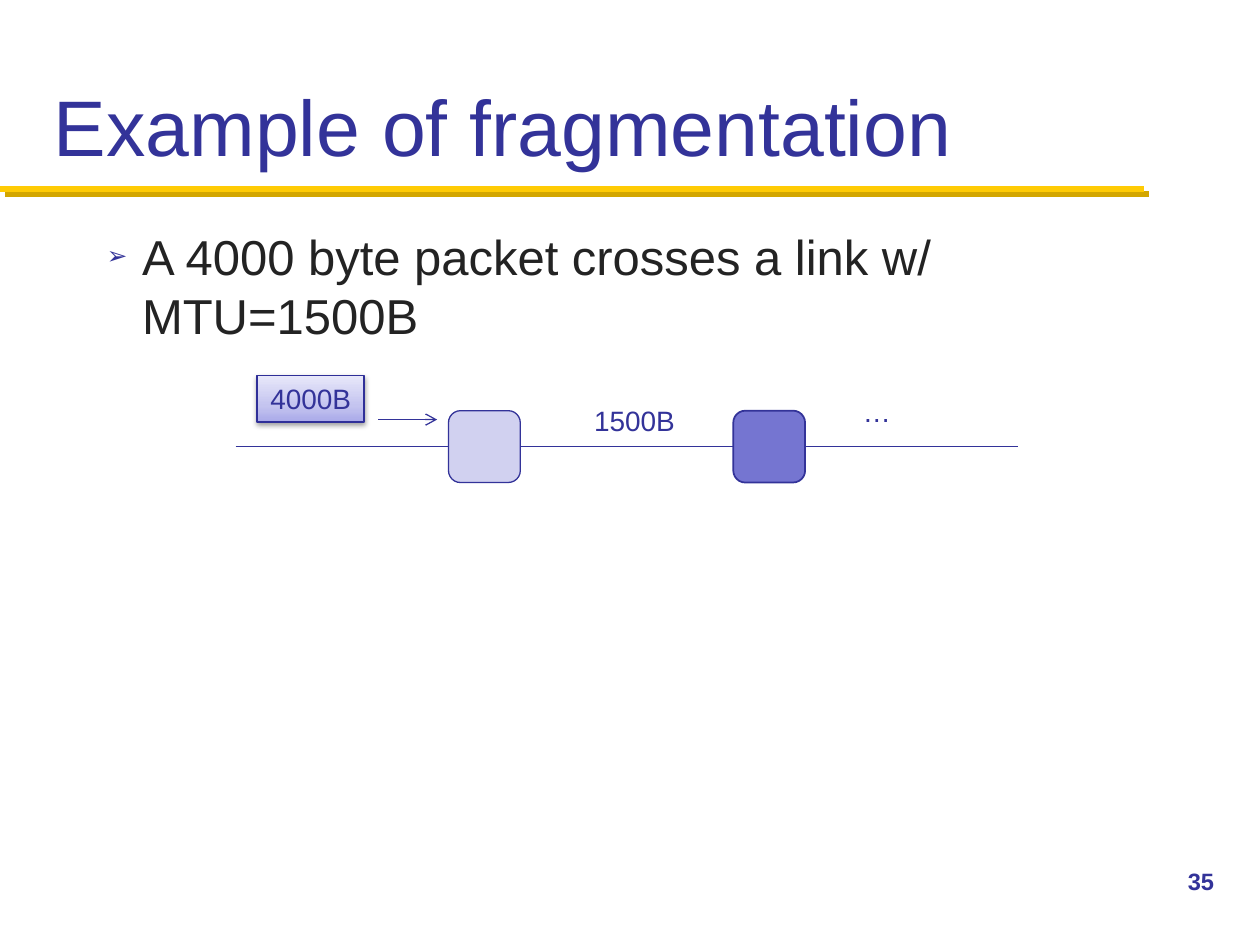
from copy import deepcopy

from lxml.etree import SubElement
from pptx import Presentation
from pptx.dml.color import RGBColor
from pptx.enum.shapes import MSO_CONNECTOR as Connector, MSO_SHAPE as Shape
from pptx.enum.text import MSO_ANCHOR as Anchor, MSO_AUTO_SIZE as AutoSize, PP_ALIGN as Align
from pptx.oxml.ns import qn
from pptx.util import Inches, Pt

NAVY = RGBColor(0x33, 0x33, 0x99)
INK = RGBColor(0x23, 0x23, 0x23)
GOLD = RGBColor(0xFF, 0xCB, 0x05)
DARK_GOLD = RGBColor(0xD3, 0xA6, 0x00)
BLACK = RGBColor(0, 0, 0)
PALE_NODE = RGBColor(0xD1, 0xD1, 0xF0)
DARK_NODE = RGBColor(0x75, 0x75, 0xD1)
PACKET_LINE = RGBColor(0x2F, 0x2F, 0x98)
PACKET_STOPS = [
    (0, RGBColor(0xA9, 0xA9, 0xE9)),
    (0.35, RGBColor(0xC4, 0xC4, 0xEF)),
    (1, RGBColor(0xE8, 0xE8, 0xFA)),
]
FONT = "Arial"


def inches(*lengths):
    return [Inches(length) for length in lengths]


def write(shape, text, size, color=NAVY, bold=False, align=Align.LEFT, wrap=True):
    frame = shape.text_frame
    frame.text = text
    frame.word_wrap = wrap
    para = frame.paragraphs[0]
    para.alignment = align
    font = para.runs[0].font
    font.name, font.size, font.bold = FONT, Pt(size), bold
    font.color.rgb = color
    return para


def add_text(page, box, text, size, **style):
    shape = page.shapes.add_textbox(*inches(*box))
    return shape, write(shape, text, size, **style)


def add_label(shape, text, align=Align.CENTER):
    write(shape, text, 16, align=align, wrap=False)
    shape.text_frame.auto_size = AutoSize.SHAPE_TO_FIT_TEXT


def add_shadow(effects, color, opacity, blur, distance, angle):
    shadow = SubElement(effects, qn("a:outerShdw"), blurRad=str(Pt(blur)),
                        dist=str(Pt(distance)), dir=str(angle * 60000),
                        algn="ctr", rotWithShape="0")
    tint = SubElement(shadow, qn("a:srgbClr"), val=str(color))
    SubElement(tint, qn("a:alpha"), val=str(opacity * 1000))


def add_line(page, start, end, color=NAVY, width=0.75):
    line = page.shapes.add_connector(Connector.STRAIGHT, *inches(*start, *end))
    line.line.color.rgb = color
    line.line.width = Pt(width)
    effects = SubElement(line._element.spPr, qn("a:effectLst"))
    return line, effects


def add_box(page, kind, box, line_color, line_width):
    shape = page.shapes.add_shape(kind, *inches(*box))
    shape.shadow.inherit = False
    shape.line.color.rgb = line_color
    shape.line.width = Pt(line_width)
    return shape


def add_title(page, box):
    left, top, width, height = box
    shape, _ = add_text(page, box, "Example of fragmentation", 45)
    shape.text_frame.vertical_anchor = Anchor.BOTTOM
    rule = top + height + 0.08
    _, effects = add_line(page, (0, rule), (9.08, rule), GOLD, 3.5)
    add_shadow(effects, DARK_GOLD, 100, 0, 4.2, 45)


def add_body(page, box):
    _, para = add_text(page, box, "A 4000 byte packet crosses a link w/ MTU=1500B",
                       28, color=INK)
    props = para._p.get_or_add_pPr()
    props.set("marL", str(Inches(0.28)))
    props.set("indent", str(-Inches(0.28)))
    before = SubElement(props, qn("a:spcBef"))
    SubElement(before, qn("a:spcPct"), val="20000")
    tint = SubElement(props, qn("a:buClr"))
    SubElement(tint, qn("a:srgbClr"), val=str(NAVY))
    SubElement(props, qn("a:buSzPct"), val="50000")
    SubElement(props, qn("a:buFont"), typeface=FONT)
    SubElement(props, qn("a:buChar"), char="➢")


def add_packet(page, box):
    packet = add_box(page, Shape.RECTANGLE, box, PACKET_LINE, 0.75)
    packet.fill.gradient()
    packet.fill.gradient_angle = 90
    first_stop = packet._element.spPr.find(".//" + qn("a:gs"))
    first_stop.addnext(deepcopy(first_stop))
    for stop, (position, color) in zip(packet.fill.gradient_stops, PACKET_STOPS):
        stop.position = position
        stop.color.rgb = color
    add_shadow(packet._element.spPr.find(qn("a:effectLst")), BLACK, 38, 3.1, 1.6, 90)
    add_label(packet, "4000B")


def add_network(page, box):
    left, top, width, height = box
    node_size = 0.57
    link = (width - 2 * node_size) / 3
    hop = link + node_size
    node_top = top + height - node_size
    axis = node_top + node_size / 2

    nodes = []
    for index, (color, weight) in enumerate([(PALE_NODE, 0.75), (DARK_NODE, 1)]):
        node_box = (left + link + index * hop, node_top, node_size, node_size)
        node = add_box(page, Shape.ROUNDED_RECTANGLE, node_box, NAVY, weight)
        node.fill.solid()
        node.fill.fore_color.rgb = color
        nodes.append(node)

    for index, (before, after) in enumerate(zip([None] + nodes, nodes + [None])):
        start = left + index * hop
        line, _ = add_line(page, (start, axis), (start + link, axis))
        if before:
            line.begin_connect(before, 3)
        if after:
            line.end_connect(after, 1)

    add_packet(page, (left + 0.17, top, 0.85, 0.37))
    labels = [("1500B", 2.74, 0.17, 0.85, Align.CENTER), ("…", 4.88, 0.1, 0.43, Align.LEFT)]
    for text, across, down, label_width, align in labels:
        label = page.shapes.add_textbox(*inches(left + across, top + down, label_width, 0.37))
        add_label(label, text, align)

    arrow_y = top + 0.35
    arrow, _ = add_line(page, (left + 1.13, arrow_y), (left + 1.6, arrow_y))
    SubElement(arrow.line._get_or_add_ln(), qn("a:tailEnd"), type="arrow")


def main():
    deck = Presentation()
    deck.slide_width, deck.slide_height = inches(10, 7.5)
    page = deck.slides.add_slide(deck.slide_layouts[6])
    add_title(page, (0.33, 0.17, 9.33, 1.25))
    add_body(page, (0.75, 1.75, 8.67, 4.83))
    add_text(page, (9.33, 6.83, 0.67, 0.5), "35", 13.5, bold=True)
    add_network(page, (1.87, 2.98, 6.21, 0.85))
    deck.save("out.pptx")


if __name__ == "__main__":
    main()
